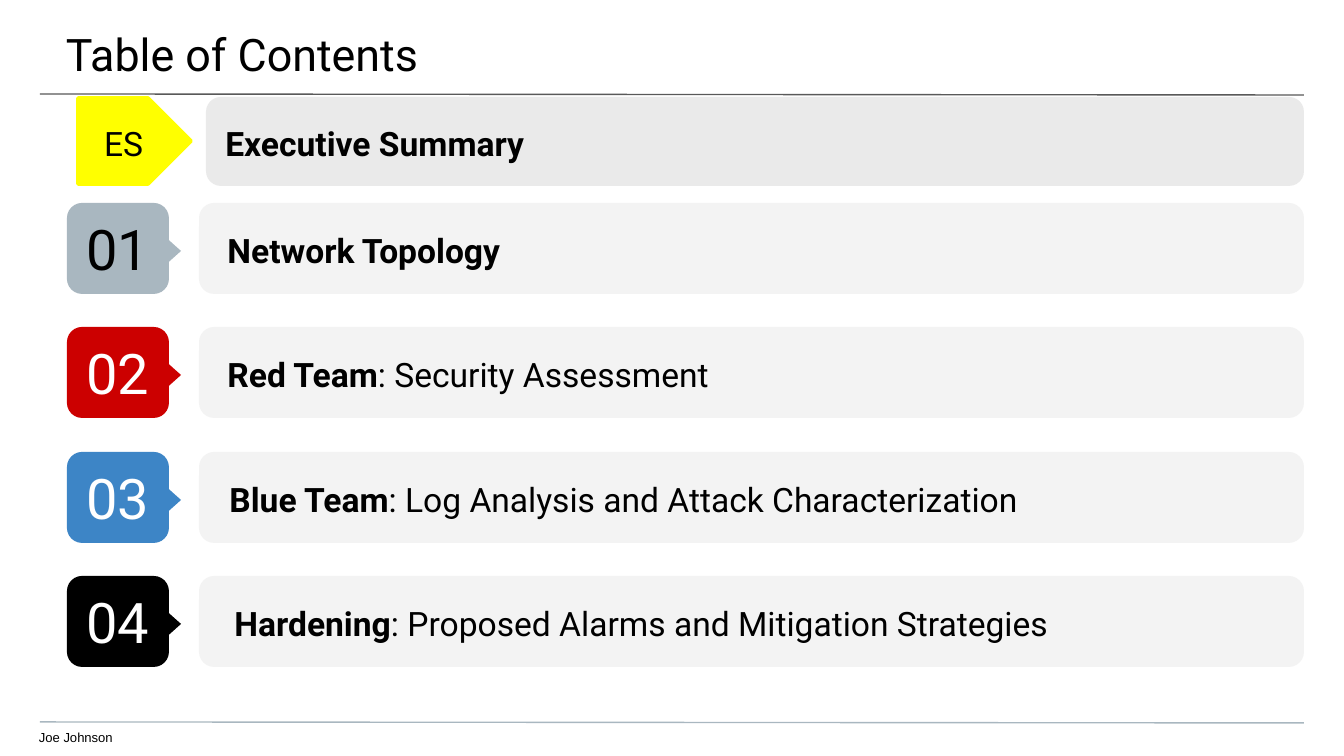
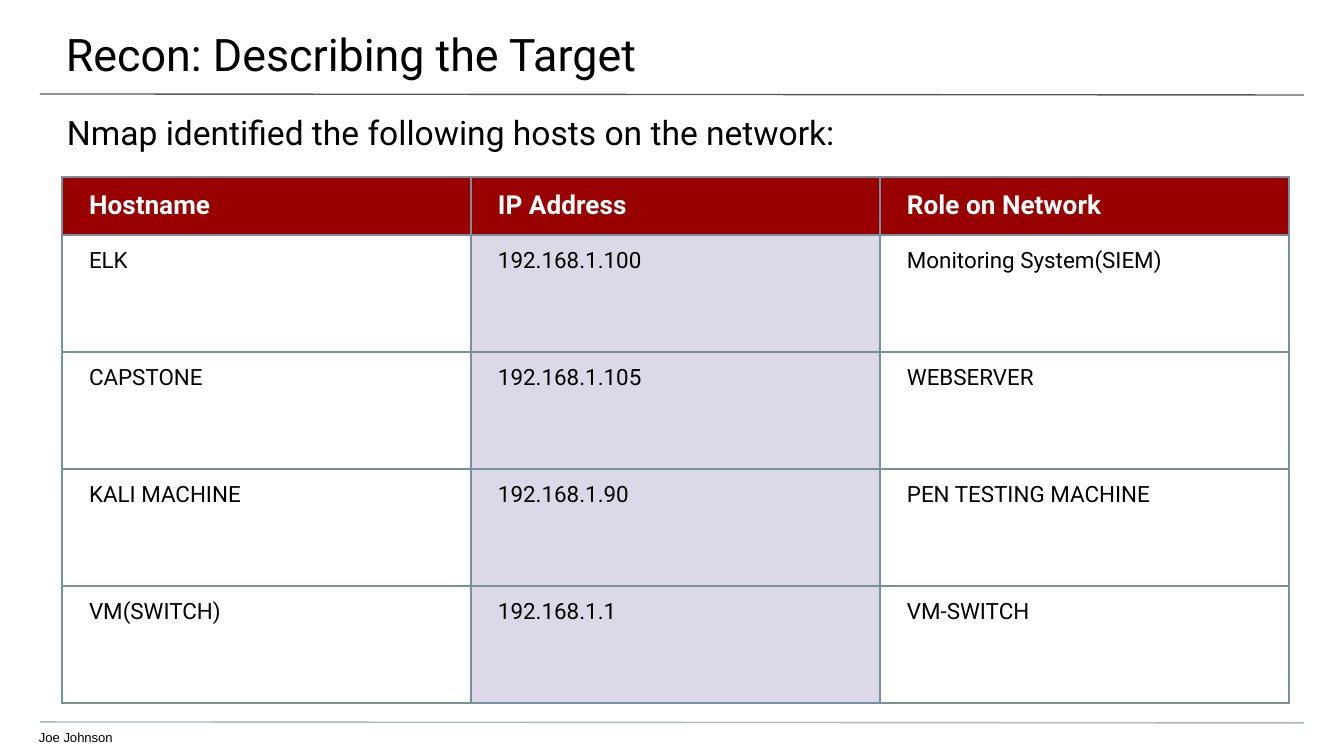
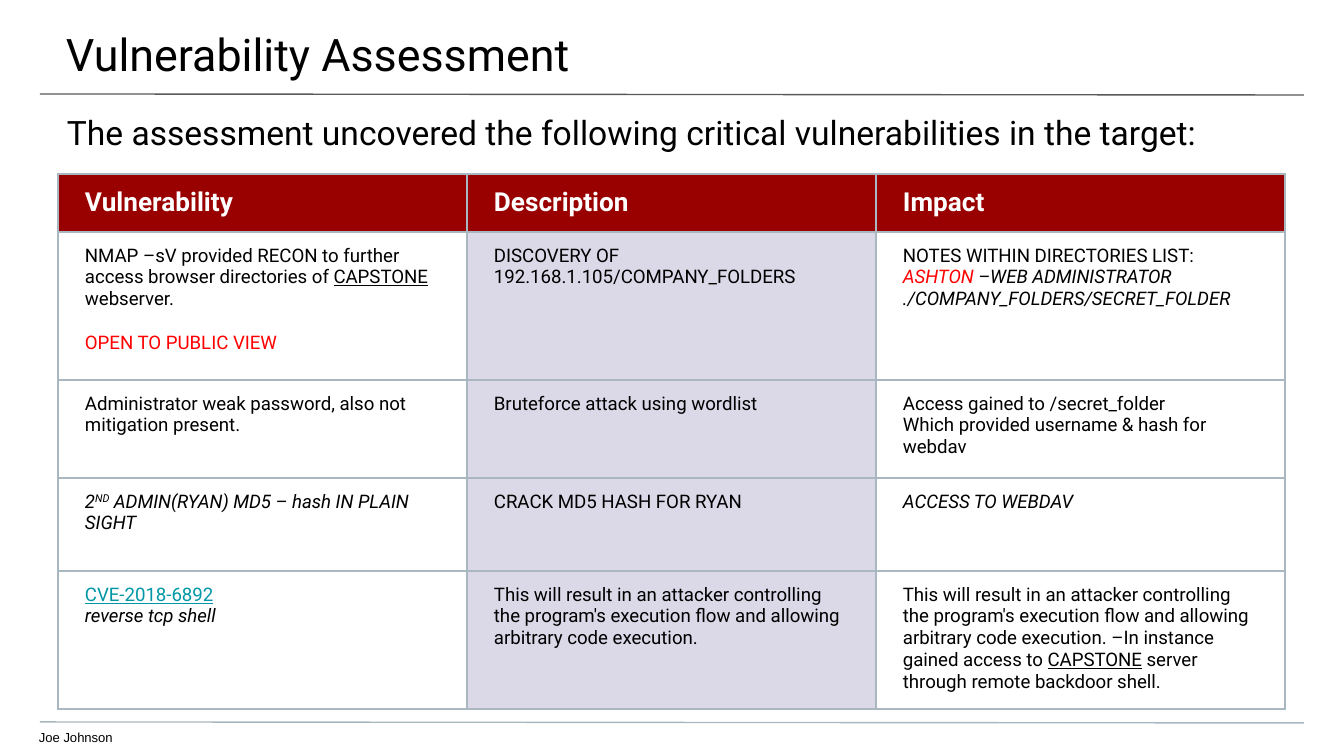
import pptx
import pptx.dml.color
import pptx.enum.shapes
import pptx.enum.text
import pptx.oxml
import pptx.oxml.ns
import pptx.util

SHAPE = pptx.enum.shapes.MSO_SHAPE
ALIGN = pptx.enum.text.PP_ALIGN
ANCHOR = pptx.enum.text.MSO_ANCHOR
Pt = pptx.util.Pt
RGB = pptx.dml.color.RGBColor.from_string
qn = pptx.oxml.ns.qn

PX = 914400 / 134.4
COLORS = {
    "black": "000000", "white": "FFFFFF", "rule": "595959", "steel": "A9B7C0",
    "slate": "78909C", "yellow": "FFFF00", "silver": "D6D6D6", "bar": "F3F3F3",
    "red_team": "CC0000", "blue_team": "3D85C6", "header": "990000",
    "lilac": "DBD9E8", "alert": "FF0000", "link": "0097A7",
}


def px(*lengths):
    """Turn pixel lengths into EMU: one value, or a list of several."""
    emu = [pptx.util.Emu(round(n * PX)) for n in lengths]
    return emu[0] if len(emu) == 1 else emu


def write(tf, paragraphs, size, color="black", font="Roboto", insets=(13, 13, 13, 13),
          anchor=ANCHOR.TOP, align=ALIGN.LEFT):
    """Fill a text frame or table cell; a paragraph is a string or a list of
    (text, marks), with marks b, i, u, ^ (superscript), ! (alert), @ (link)."""
    tf.margin_left, tf.margin_top, tf.margin_right, tf.margin_bottom = px(*insets)
    tf.vertical_anchor = anchor
    tf.word_wrap = True
    tf = getattr(tf, "text_frame", tf)
    for i, runs in enumerate(paragraphs):
        p = tf.add_paragraph() if i else tf.paragraphs[0]
        p.alignment = align
        p.font.name, p.font.size, p.font.color.rgb = font, Pt(size), RGB(COLORS[color])
        runs = [(runs, "")] if isinstance(runs, str) else runs
        for text, marks in runs:
            r = p.add_run()
            r.text = text
            f = p.font if len(runs) == 1 else r.font
            for mark, name in (("b", "bold"), ("i", "italic"), ("u", "underline")):
                if mark in marks:
                    setattr(f, name, True)
            for mark, name in (("!", "alert"), ("@", "link")):
                if mark in marks:
                    f.color.rgb = RGB(COLORS[name])
            if "^" in marks:
                r._r.get_or_add_rPr().set("baseline", "30000")


prs = pptx.Presentation()
prs.slide_width, prs.slide_height = px(1344, 756)

# Shared frame: rules, title, subtitle and footer
pages = [
    ("Table of Contents", None),
    ("Recon: Describing the Target", "Nmap identified the following hosts on the network:"),
    ("Vulnerability Assessment",
     "The assessment uncovered the following critical vulnerabilities in the target:"),
]
for title, subtitle in pages:
    s = prs.slides.add_slide(prs.slide_layouts[6])
    for y, color in ((94, "rule"), (722, "steel")):
        line = s.shapes.add_connector(pptx.enum.shapes.MSO_CONNECTOR.STRAIGHT,
                                      *px(40, y, 1304, y + 1))
        line.line.color.rgb, line.line.width = RGB(COLORS[color]), Pt(0.75)
        line._element.spPr.append(pptx.oxml.parse_xml(
            '<a:effectLst xmlns:a="http://schemas.openxmlformats.org/drawingml/2006/main"/>'))
    sp = s.shapes.add_textbox(*px(-1, 0, 1348, 78))
    write(sp.text_frame, [title], 24, insets=(67, 27, 40, 13))
    if subtitle:
        sp = s.shapes.add_textbox(*px(0, 99, 1344, 54))
        write(sp.text_frame, [subtitle], 18, insets=(67, 13, 67, 0))
    sp = s.shapes.add_textbox(*px(-1, 723, 1172, 33))
    write(sp.text_frame, ["Joe Johnson"], 7, font="Arial", insets=(40, 7, 0, 0))

contents, recon, vulnerabilities = prs.slides

# Table of contents: marker and bar per section
sections = [
    ("steel", "black", "Network Topology", "", 24),
    ("red_team", "white", "Red Team", ": Security Assessment", 24),
    ("blue_team", "white", "Blue Team", ": Log Analysis and Attack Characterization", 26),
    ("black", "white", "Hardening", ": Proposed Alarms and Mitigation Strategies", 31),
]
es_marker = contents.shapes.add_shape(SHAPE.PENTAGON, *px(78, 98, 113, 86))
es_bar = contents.shapes.add_shape(SHAPE.ROUNDED_RECTANGLE, *px(206, 97, 1098, 89))
write(es_marker.text_frame, ["ES"], 18, insets=(0, 4, 0, 0), anchor=ANCHOR.MIDDLE,
      align=ALIGN.CENTER)
write(es_bar.text_frame, [[("Executive Summary", "b")]], 18, insets=(15, 4, 0, 0),
      anchor=ANCHOR.MIDDLE)
painted = [(es_marker, "yellow"), (es_bar, "silver")]
for i, (color, ink, name, detail, indent) in enumerate(sections):
    y = 203 + i * 249 // 2
    bar = contents.shapes.add_shape(SHAPE.ROUNDED_RECTANGLE, *px(199, y, 1105, 91))
    runs = [(name, "b")] + ([(detail, "")] if detail else [])
    write(bar.text_frame, [runs], 18, insets=(indent, 0, 0, 2), anchor=ANCHOR.MIDDLE)
    bar.text_frame.paragraphs[0].line_spacing = 1.15
    marker = contents.shapes.add_group_shape()
    badge = marker.shapes.add_shape(SHAPE.ROUNDED_RECTANGLE, *px(67, y, 102, 91))
    write(badge.text_frame, [f"{i + 1:02}"], 30, ink, anchor=ANCHOR.MIDDLE,
          align=ALIGN.CENTER)
    pointer = marker.shapes.add_shape(SHAPE.FLOWCHART_EXTRACT, *px(142, y + 34, 50, 28))
    pointer.rotation = 90
    painted += [(bar, "bar"), (badge, color), (pointer, color)]
for sp, color in painted:
    sp.shadow.inherit = False
    sp.fill.solid()
    sp.fill.fore_color.rgb = RGB(COLORS[color])
    sp.line.fill.background()
es_marker.line.color.rgb, es_marker.line.width = RGB(COLORS["yellow"]), Pt(2)
tint = es_bar._element.spPr.find(qn("a:solidFill"))[0]
tint.append(tint.makeelement(qn("a:alpha"), {"val": "50000"}))

# Tables: hosts and vulnerabilities
hosts = [
    ["Hostname", "IP Address", "Role on Network"],
    ["ELK", "192.168.1.100", "Monitoring System(SIEM)"],
    ["CAPSTONE", "192.168.1.105", "WEBSERVER"],
    ["KALI MACHINE", "192.168.1.90", "PEN TESTING MACHINE"],
    ["VM(SWITCH)", "192.168.1.1", "VM-SWITCH"],
]
execution = ("This will result in an attacker controlling the program's execution flow "
             "and allowing arbitrary code execution.")
findings = [
    ["Vulnerability", "Description", "Impact"],
    [[[("NMAP –sV provided RECON to further access browser directories of ", ""),
       ("CAPSTONE", "u"), (" webserver.", "")],
      [("OPEN TO PUBLIC VIEW", "!")]],
     "DISCOVERY OF 192.168.1.105/COMPANY_FOLDERS",
     ["NOTES WITHIN DIRECTORIES LIST:",
      [("ASHTON", "i!"), (" –WEB ADMINISTRATOR", "i")],
      [("./COMPANY_FOLDERS/SECRET_FOLDER", "i")]]],
    ["Administrator weak password, also not mitigation present.",
     "Bruteforce attack using wordlist",
     ["Access gained to /secret_folder", "Which provided username & hash for webdav"]],
    [[[("2", "i"), ("ND", "i^"), (" ADMIN(RYAN) MD5 – hash IN PLAIN SIGHT", "i")]],
     "CRACK MD5 HASH FOR RYAN",
     [[("ACCESS TO WEBDAV", "i")]]],
    [[[("CVE-2018-6892", "u@")], [("reverse tcp shell", "i")]],
     execution,
     [[(execution + " –In instance gained access to ", ""), ("CAPSTONE", "u"),
       (" server through remote backdoor shell.", "")]]],
]
tables = []
for s, rows, left, top, heights, size, border in (
        (recon, hosts, 62, 177, [58] + [117] * 4, 12, "slate"),
        (vulnerabilities, findings, 58, 174, [58, 148, 98, 93, 136], 10, "steel")):
    table = s.shapes.add_table(len(rows), 3, *px(left, top, 3 * 409, sum(heights))).table
    table.first_row = table.horz_banding = False
    tables.append(table)
    for column in table.columns:
        column.width = px(409)
    for i, (row, height) in enumerate(zip(rows, heights)):
        table.rows[i].height = px(height)
        for j, content in enumerate(row):
            cell = table.cell(i, j)
            if i == 0:
                write(cell, [[(content, "b")]], 14, "white", insets=(27, 13, 27, 13),
                      anchor=ANCHOR.MIDDLE)
            else:
                write(cell, [content] if isinstance(content, str) else content, size,
                      insets=(27, 13, 27, 13))
            tcPr = cell._tc.get_or_add_tcPr()
            for side in "LRTB":
                tcPr.append(pptx.oxml.parse_xml(
                    f'<a:ln{side} xmlns:a="http://schemas.openxmlformats.org/drawingml/2006/main"'
                    f' w="{Pt(0.75)}"><a:solidFill><a:srgbClr val="{COLORS[border]}"/>'
                    f'</a:solidFill></a:ln{side}>'))
            fill = "header" if i == 0 else "lilac" if j == 1 else None
            if fill:
                cell.fill.solid()
                cell.fill.fore_color.rgb = RGB(COLORS[fill])
            else:
                cell.fill.background()
tables[1].cell(1, 0).text_frame.paragraphs[1].space_before = Pt(12)

prs.save("out.pptx")
